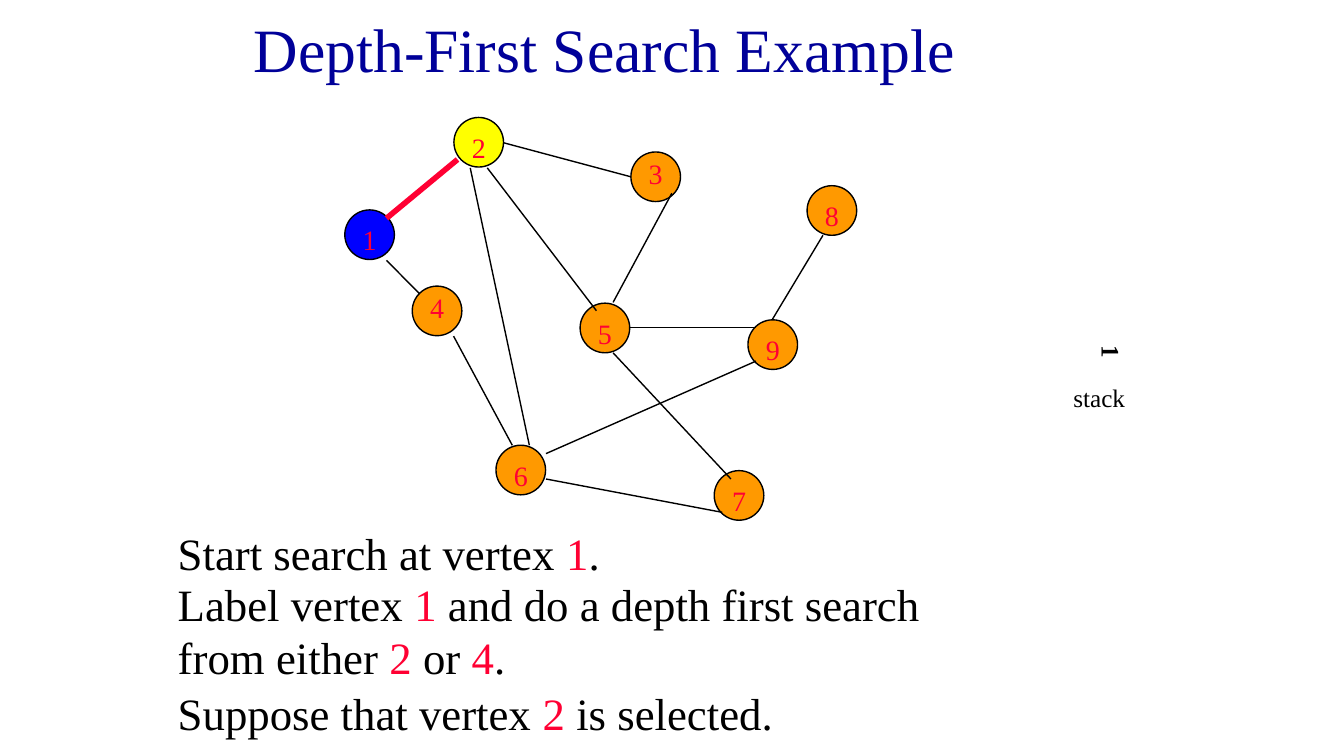
from pptx import Presentation
from pptx.dml.color import RGBColor as Rgb
from pptx.enum.shapes import MSO_CONNECTOR as Link, MSO_SHAPE as Kind
from pptx.enum.text import MSO_ANCHOR as Anchor, PP_ALIGN as Align
from pptx.oxml.ns import qn
from pptx.util import Cm, Pt
from lxml import etree

COLORS = {"title": "000099", "text": "000000", "mark": "FF0033",
          "node": "FF9900", "start": "0000FF", "next": "FFFF00"}
FONT = "Times New Roman"
SIZE = 1.25

# vertex: left, top, fill, drop of its label
NODES = {
    1: (8.69, 5.29, "start", 0.2),
    2: (11.44, 2.96, "next", 0.2),
    3: (15.9, 3.83, "node", -0.02),
    4: (10.39, 7.21, "node", -0.02),
    5: (14.62, 7.64, "node", 0.2),
    6: (12.5, 11.22, "node", 0.2),
    7: (18.0, 11.86, "node", 0.2),
    8: (20.34, 4.68, "node", 0.2),
    9: (18.85, 8.06, "node", 0.2),
}

EDGES = [
    (12.28, 4.23, 15.03, 7.83),
    (9.74, 6.56, 10.58, 7.41),
    (11.43, 8.47, 12.91, 11.22),
    (13.76, 12.07, 18.2, 12.91),
    (16.93, 4.87, 15.45, 7.62),
    (15.45, 8.89, 18.42, 12.07),
    (20.74, 5.93, 19.47, 8.04),
    (15.88, 8.26, 19.05, 8.26),
    (12.7, 3.6, 15.88, 4.45),
    (11.85, 4.23, 13.34, 11.22),
    (13.76, 11.43, 19.05, 9.1),
]

# top, height, text with the marked parts between bars
STEPS = [
    (13.13, 1.98, "Start search at vertex |1|."),
    (14.4, 3.0, "Label vertex |1| and do a depth first search from either| 2 |or |4|."),
    (17.15, 1.63, "Suppose that vertex |2| is selected."),
]


class Board:
    def __init__(self, slide):
        self.slide = slide
        self.shapes = slide.shapes

    def font(self, para, size, color, bold=False):
        para.font.name = FONT
        para.font.size = Pt(size)
        para.font.bold = bold
        para.font.color.rgb = Rgb.from_string(COLORS[color])

    def title(self, text, *box):
        head = self.shapes.title
        head.left, head.top, head.width, head.height = map(Cm, box)
        head.text_frame.vertical_anchor = Anchor.MIDDLE
        para = head.text_frame.paragraphs[0]
        para.text = text
        para.alignment = Align.LEFT
        self.font(para, 44, "title")

    def text(self, text, box, size, color="text", bold=False, wrap=True):
        """Add a text box; every second part between bars is marked."""
        frame = self.shapes.add_textbox(*map(Cm, box)).text_frame
        frame.word_wrap = wrap
        para = frame.paragraphs[0]
        self.font(para, size, color, bold)
        for i, part in enumerate(text.split("|")):
            run = para.add_run()
            run.text = part
            if i % 2:
                run.font.color.rgb = Rgb.from_string(COLORS["mark"])
        return frame

    def node(self, name, left, top, fill, drop):
        disc = self.shapes.add_shape(Kind.OVAL, Cm(left), Cm(top), Cm(SIZE), Cm(SIZE))
        disc.shadow.inherit = False
        disc.fill.solid()
        disc.fill.fore_color.rgb = Rgb.from_string(COLORS[fill])
        disc.line.color.rgb = Rgb.from_string(COLORS["text"])
        disc.line.width = Pt(1)
        self.text(str(name), (left + 0.2, top + drop, 0.64, 1.11), 20, "mark")

    def edge(self, ends, color="text", width=1):
        line = self.shapes.add_connector(Link.STRAIGHT, *map(Cm, ends))
        line.line.color.rgb = Rgb.from_string(COLORS[color])
        line.line.width = Pt(width)
        etree.SubElement(line._element.spPr, qn("a:effectLst"))


def main():
    deck = Presentation()
    deck.slide_width, deck.slide_height = Cm(33.87), Cm(19.05)
    board = Board(deck.slides.add_slide(deck.slide_layouts[5]))
    board.title("Depth-First Search Example", 6.14, -0.38, 21.59, 3.18)

    for name, spot in NODES.items():
        board.node(name, *spot)
    for ends in EDGES:
        board.edge(ends)
    board.edge((11.53, 4.02, 9.74, 5.5), "mark", 4)

    for top, height, step in STEPS:
        board.text(step, (4.23, top, 19.69, height), 32)

    stack = board.text("1", (27.25, 8.46, 1.27, 2.21), 18, bold=True)
    stack._txBody.bodyPr.set("vert", "eaVert")
    board.text("stack", (26.8, 9.5, 1.83, 1.02), 18, wrap=False)
    deck.save("out.pptx")


if __name__ == "__main__":
    main()
